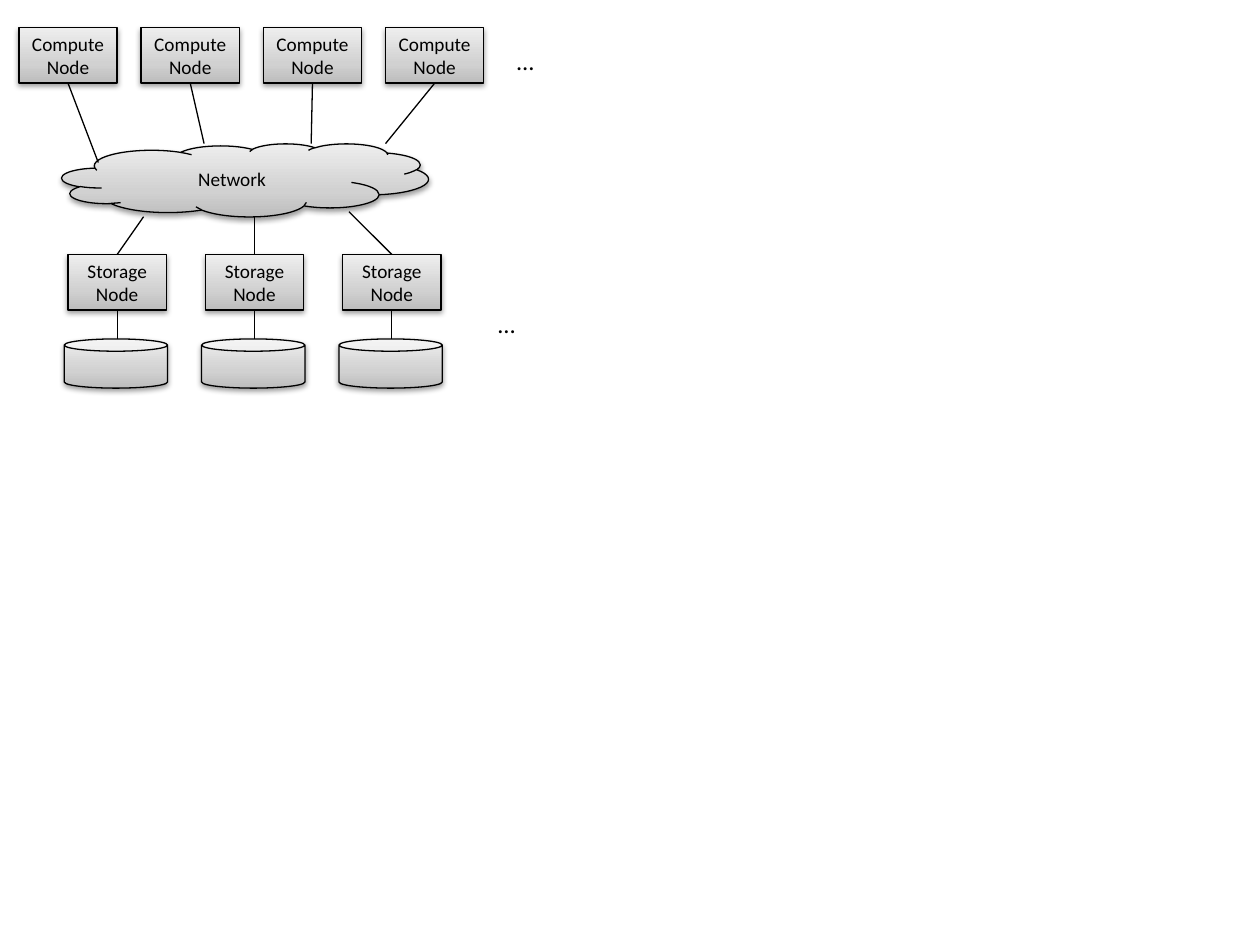
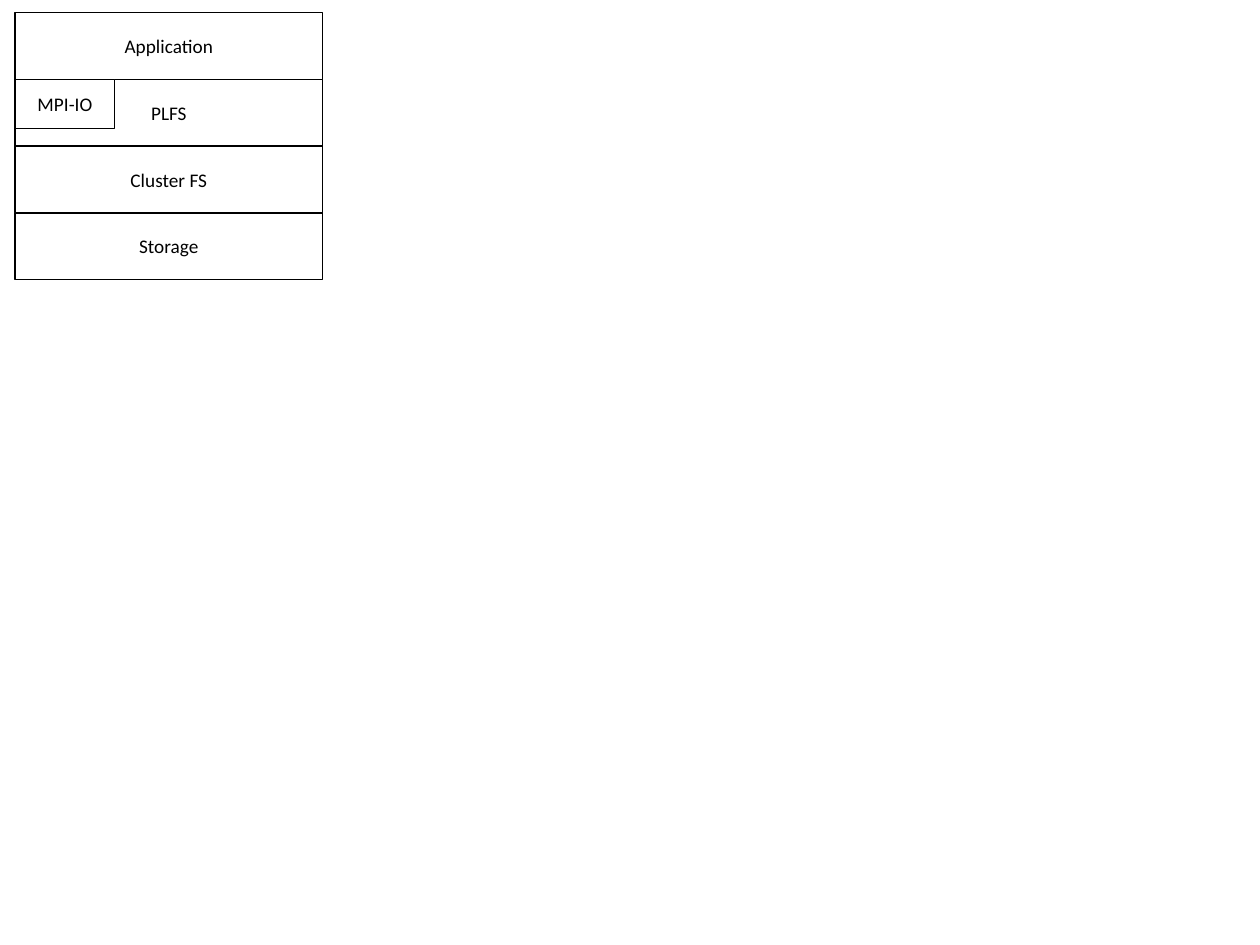
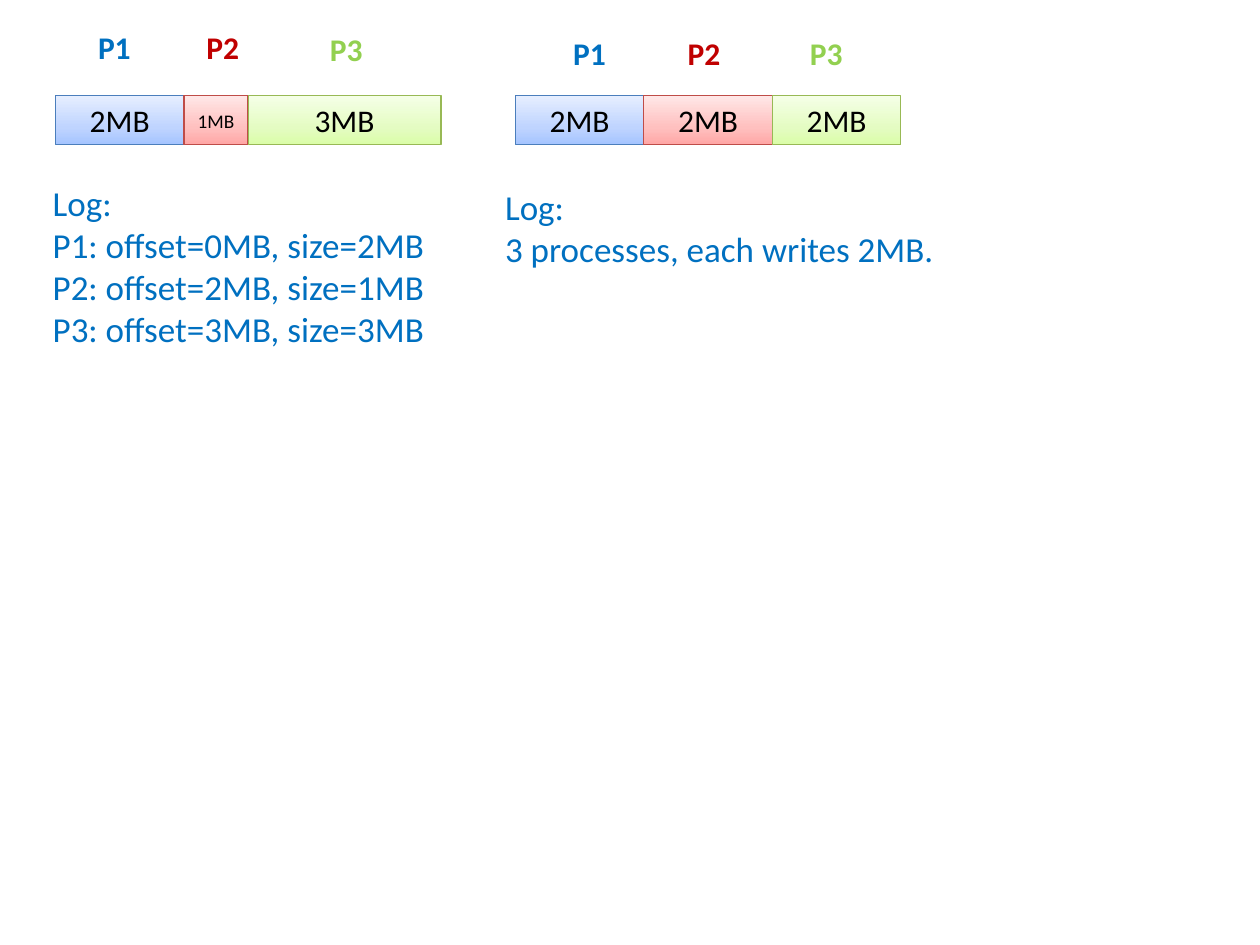
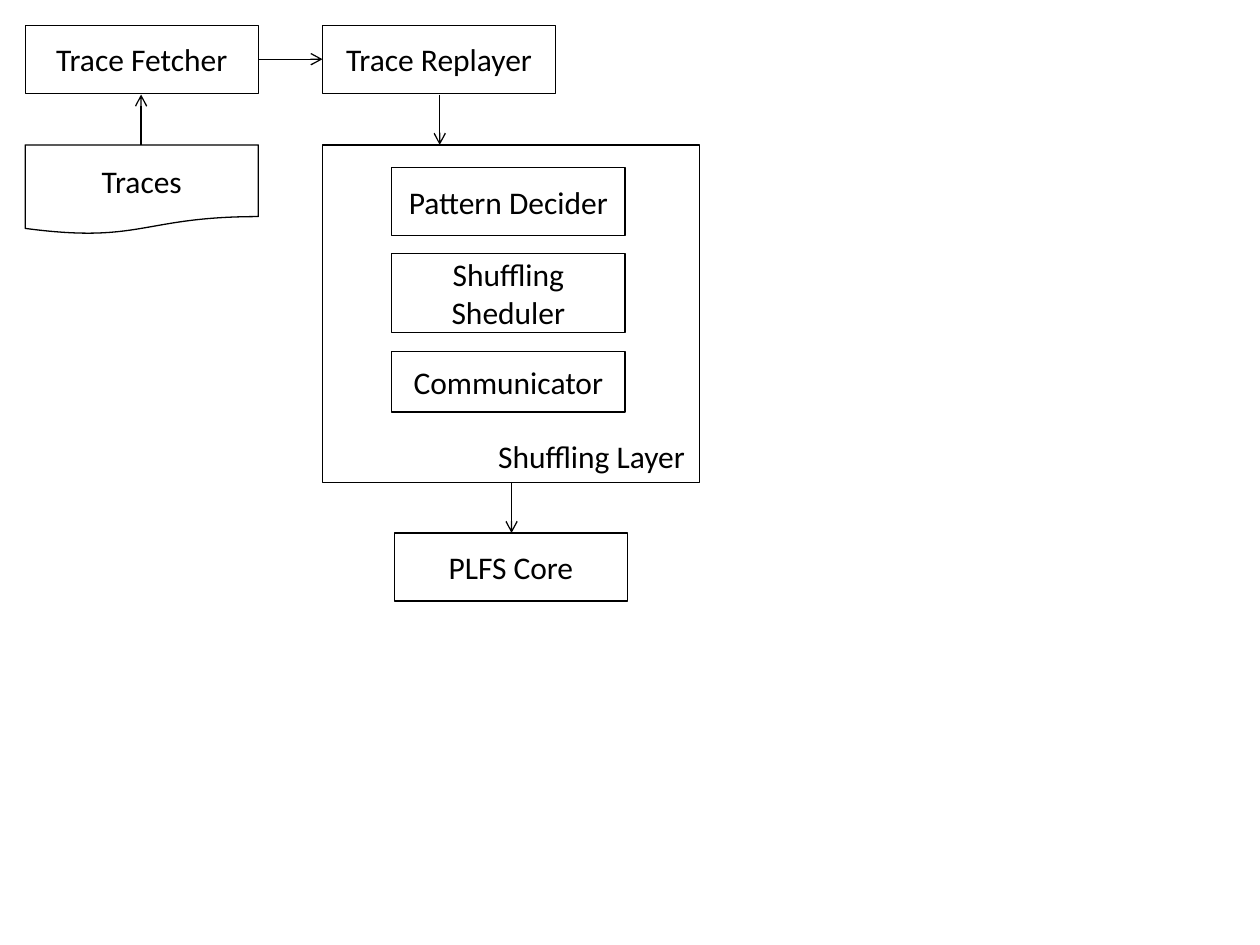
"""Draw four diagrams of a cluster file system: nodes, layers, write logs and trace replay."""
from copy import deepcopy

from lxml import etree
from pptx import Presentation
from pptx import util as u
from pptx.dml.color import RGBColor
from pptx.enum import shapes, text
from pptx.oxml import ns

COLORS = {"ink": "000000", "paper": "FFFFFF",
          "P1": "0070C0", "P2": "C00000", "P3": "92D050",
          "P1 edge": "4B7EBC", "P2 edge": "BF4C48", "P3 edge": "98B955"}
GRADIENTS = {"node": ("BDBDBD", "D1D1D1", "EEEEEE"),
             "P1": ("A4C4FF", "BFD4FF", "E6EEFF"),
             "P2": ("FFA6A5", "FFC0BF", "FFE7E7"),
             "P3": ("DAFDA7", "E4FCC2", "F5FFE7")}
STOPS = (0, 0.35, 1)
FONT = "Calibri"
SMALL, MEDIUM, LARGE = 11, 18, 20
KIND = shapes.MSO_SHAPE
CENTER = text.PP_ALIGN.CENTER


def rgb(name):
    return RGBColor.from_string(COLORS[name])


def inches(*lengths):
    return [u.Inches(round(length, 2)) for length in lengths]


def write(frame, lines, size, color="ink", bold=False, align=None):
    for index, line in enumerate(lines):
        paragraph = frame.paragraphs[0] if index == 0 else frame.add_paragraph()
        paragraph.alignment = align
        run = paragraph.add_run()
        run.text = line
        run.font.name = FONT
        run.font.size = u.Pt(size)
        run.font.bold = bold
        run.font.color.rgb = rgb(color)


def outline(item, color="ink"):
    item.line.color.rgb = rgb(color)
    item.line.width = u.Pt(0.75)


def shade(shape, gradient):
    shape.fill.gradient()
    shape.fill.gradient_angle = 90
    stop_list = shape._element.spPr.find(".//" + ns.qn("a:gsLst"))
    stop_list.append(deepcopy(stop_list[-1]))
    for stop, position, color in zip(shape.fill.gradient_stops, STOPS, GRADIENTS[gradient]):
        stop.color.rgb = RGBColor.from_string(color)
        stop.position = position


def drop_shadow(shape):
    effects = shape._element.spPr.find(ns.qn("a:effectLst"))
    shadow = etree.SubElement(effects, ns.qn("a:outerShdw"), blurRad="40000",
                              dist="20000", dir="5400000", rotWithShape="0")
    color = etree.SubElement(shadow, ns.qn("a:srgbClr"), val=COLORS["ink"])
    etree.SubElement(color, ns.qn("a:alpha"), val="38000")


def box(canvas, at, lines=(), size=MEDIUM, kind=KIND.RECTANGLE, gradient=None, edge="ink"):
    shape = canvas.add_shape(kind, *inches(*at))
    shape.shadow.inherit = False
    if gradient:
        shade(shape, gradient)
    else:
        shape.fill.solid()
        shape.fill.fore_color.rgb = rgb("paper")
    outline(shape, edge)
    frame = shape.text_frame
    frame.word_wrap = True
    frame.vertical_anchor = text.MSO_ANCHOR.MIDDLE
    frame.margin_left = frame.margin_right = u.Inches(0.05)
    write(frame, lines, size, align=CENTER)
    return shape


def node(canvas, at, lines=(), kind=KIND.RECTANGLE):
    drop_shadow(box(canvas, at, lines, SMALL, kind, "node"))


def label(canvas, at, lines, size=MEDIUM, color="ink", bold=False, align=None, wrap=False):
    frame = canvas.add_textbox(*inches(*at)).text_frame
    frame.word_wrap = wrap
    frame.auto_size = text.MSO_AUTO_SIZE.SHAPE_TO_FIT_TEXT
    write(frame, lines, size, color, bold, align)


def link(canvas, start, end, arrow=False):
    line = canvas.add_connector(shapes.MSO_CONNECTOR.STRAIGHT, *inches(*start, *end))
    outline(line)
    properties = line._element.spPr
    if arrow:
        etree.SubElement(properties.find(ns.qn("a:ln")), ns.qn("a:tailEnd"), type="arrow")
    etree.SubElement(properties, ns.qn("a:effectLst"))


def draw_cluster(slide):
    canvas = slide.shapes.add_group_shape().shapes
    width, height = 0.78, 0.44
    compute_top, storage_top, disk_top = 0.22, 2.02, 2.69
    compute_lefts = [0.15 + 0.97 * i for i in range(4)]
    storage_lefts = [0.54 + 1.09 * i for i in range(3)]
    for left in compute_lefts:
        node(canvas, (left, compute_top, width, height), ("Compute", "Node"))
    node(canvas, (0.49, 1.14, 2.91, 0.58), ("Network",), KIND.CLOUD)
    for left in storage_lefts:
        node(canvas, (left, storage_top, width, height), ("Storage", "Node"))
        node(canvas, (left - 0.03, disk_top, 0.82, 0.39), kind=KIND.CAN)
        middle = left + width / 2
        link(canvas, (middle, storage_top + height), (middle, disk_top))
    for left, top in ((3.93, 0.32), (3.78, 2.4)):
        label(canvas, (left, top, 0.48, 0.34), ("…",), 14, align=CENTER, wrap=True)
    for left, cloud_point in zip(compute_lefts, ((0.78, 1.29), (1.62, 1.14), (2.47, 1.14), (3.06, 1.14))):
        link(canvas, (left + width / 2, compute_top + height), cloud_point)
    for left, cloud_point in zip(storage_lefts, ((1.14, 1.72), (2.02, 1.72), (2.77, 1.68))):
        link(canvas, cloud_point, (left + width / 2, storage_top))


def draw_layers(slide):
    left, top, height = 0.12, 0.1, 0.53
    for i, layer in enumerate(("Application", "PLFS", "Cluster FS", "Storage")):
        box(slide.shapes, (left, top + i * height, 2.44, height), (layer,), SMALL)
    box(slide.shapes, (left, top + height, 0.79, 0.39), ("MPI-IO",), SMALL)


def draw_write(slide, left, megabytes, label_places, log_at, log):
    inches_per_megabyte = 0.51
    for i, (amount, place) in enumerate(zip(megabytes, label_places), 1):
        process = f"P{i}"
        width = amount * inches_per_megabyte
        box(slide.shapes, (left, 0.76, width, 0.39), (f"{amount}MB",),
            SMALL if amount == 1 else MEDIUM, gradient=process, edge=f"{process} edge")
        label(slide.shapes, (*place, 0.46, 0.4), (process,), color=process, bold=True)
        left += width
    label(slide.shapes, log_at, ("Log:", *log), LARGE, "P1", wrap=True)


def draw_logs(slide):
    sizes = (2, 1, 3)
    entries = [f"P{i + 1}: offset={sum(sizes[:i])}MB, size={size}MB" for i, size in enumerate(sizes)]
    draw_write(slide, 0.44, sizes, ((0.68, 0.17), (1.54, 0.17), (2.52, 0.19)),
               (0.32, 1.39, 3.36, 1.78), entries)
    draw_write(slide, 4.09, (2, 2, 2), ((4.45, 0.22), (5.36, 0.22), (6.33, 0.22)),
               (3.91, 1.42, 3.89, 0.77), ("3 processes, each writes 2MB.",))


def draw_replay(slide):
    canvas = slide.shapes
    width, height = 1.85, 0.54
    box(canvas, (0.2, 0.2, width, height), ("Trace Fetcher",))
    box(canvas, (0.2, 1.15, width, 0.71), ("Traces",), kind=KIND.FLOWCHART_DOCUMENT)
    box(canvas, (2.56, 0.2, width, height), ("Trace Replayer",))
    box(canvas, (2.56, 1.15, 2.99, 2.68))
    label(canvas, (3.84, 3.42, 1.71, 0.4), ("Shuffling Layer",), align=CENTER)
    for part, top, part_height in (("Pattern Decider", 1.33, height),
                                   ("Shuffling Sheduler", 2.01, 0.63),
                                   ("Communicator", 2.79, 0.48)):
        box(canvas, (3.11, top, width, part_height), (part,))
    for start, end in (((1.12, 1.15), (1.12, 0.75)), ((2.05, 0.47), (2.56, 0.47)),
                       ((3.49, 0.75), (3.49, 1.15)), ((4.06, 3.83), (4.06, 4.23))):
        link(canvas, start, end, arrow=True)
    box(canvas, (3.13, 4.23, width, height), ("PLFS Core",))


def main():
    deck = Presentation()
    deck.slide_width, deck.slide_height = inches(10, 7.5)
    for draw in (draw_cluster, draw_layers, draw_logs, draw_replay):
        draw(deck.slides.add_slide(deck.slide_layouts[6]))
    deck.save("out.pptx")


main()
